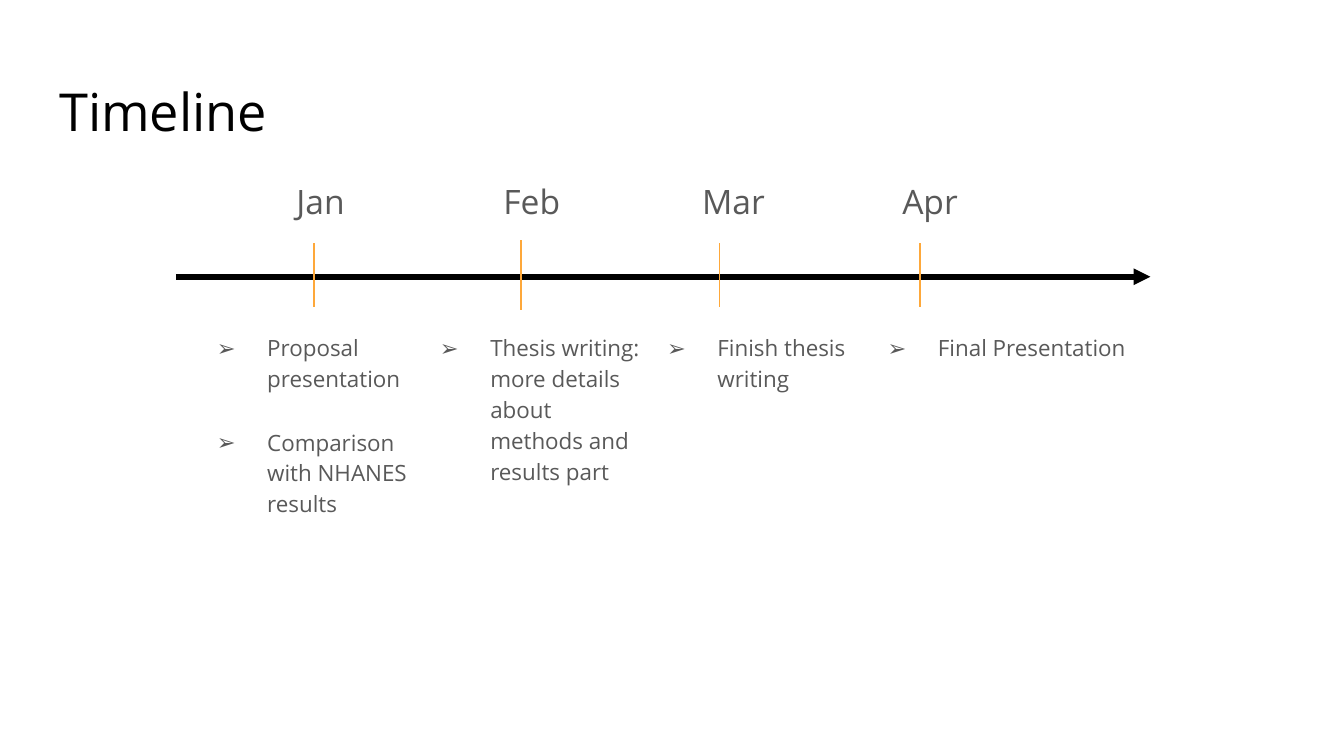
from dataclasses import dataclass

from lxml.etree import SubElement
from pptx import Presentation
from pptx.dml.color import RGBColor as Rgb
from pptx.enum.shapes import MSO_CONNECTOR as Connector
from pptx.enum.text import MSO_ANCHOR as Anchor, MSO_AUTO_SIZE as AutoSize, PP_ALIGN as Align
from pptx.oxml.ns import qn
from pptx.slide import Slide
from pptx.util import Pt


@dataclass(frozen=True)
class Theme:
    font: str = "Open Sans"
    ink: str = "000000"
    grey: str = "595959"
    orange: str = "FEA83A"
    title_size: float = 28
    month_size: float = 18
    task_size: float = 12
    line_spacing: float = 1.15


@dataclass(frozen=True)
class Box:
    left: float
    top: float
    width: float
    height: float


@dataclass(frozen=True)
class Month:
    name: str
    label: Box
    tick_half: float
    tasks_left: float
    tasks_width: float
    tasks: tuple[str, ...]


THEME = Theme()
INSET = 7.2
AXIS_LEFT, AXIS_RIGHT, AXIS_Y = 94.3, 616.3, 148.3
TICK_OFFSET, TICK_MIDDLE = 25.6, 147.4
LABEL_TOP = 86.4
TASKS_TOP, TASK_HEIGHT, TASK_STEP = 169.9, 45.4, 50.4

MONTHS = (
    Month("Jan", Box(142.6, LABEL_TOP, 51.1, 45.4), 17, 100.1, 134.6,
          ("Proposal presentation", "Comparison with NHANES results")),
    Month("Feb", Box(253.6, LABEL_TOP, 66.2, 49.7), 18.7, 219.6, 134.6,
          ("Thesis writing: more details about methods and results part",)),
    Month("Mar", Box(360, LABEL_TOP, 66.2, 45.4), 17, 341.3, 151.2,
          ("Finish thesis writing",)),
    Month("Apr", Box(467.3, LABEL_TOP, 61.9, 45.4), 17, 459.4, 151.2,
          ("Final Presentation",)),
)


def write(shape, text: str, box: Box, *, size: float, color: str = THEME.grey,
          spacing: float = THEME.line_spacing, margin: float = 0,
          indent: float = 0, bullet: str = "") -> None:
    """Place a text box or placeholder and fill it with one formatted paragraph."""
    shape.left, shape.top = Pt(box.left), Pt(box.top)
    shape.width, shape.height = Pt(box.width), Pt(box.height)
    frame = shape.text_frame
    frame.word_wrap = True
    frame.auto_size = AutoSize.NONE
    frame.vertical_anchor = Anchor.TOP
    frame.margin_left = frame.margin_right = Pt(INSET)
    frame.margin_top = frame.margin_bottom = Pt(INSET)

    paragraph = frame.paragraphs[0]
    properties = paragraph._p.get_or_add_pPr()
    properties.set("marL", str(Pt(margin)))
    properties.set("indent", str(Pt(indent)))
    if bullet:
        bullet_color = SubElement(properties, qn("a:buClr"))
        SubElement(bullet_color, qn("a:srgbClr"), val=color)
        SubElement(properties, qn("a:buFont"), typeface=THEME.font)
        SubElement(properties, qn("a:buChar"), char=bullet)
    else:
        SubElement(properties, qn("a:buNone"))
    paragraph.alignment = Align.LEFT
    paragraph.line_spacing = spacing
    paragraph.space_before = Pt(0)

    run = paragraph.add_run()
    run.text = text
    run.font.name = THEME.font
    run.font.size = Pt(size)
    run.font.color.rgb = Rgb.from_string(color)


def add_text_box(slide: Slide, box: Box):
    return slide.shapes.add_textbox(Pt(box.left), Pt(box.top), Pt(box.width), Pt(box.height))


def draw_line(slide: Slide, start: tuple[float, float], end: tuple[float, float], *,
              color: str, width: float, arrow: bool = False) -> None:
    line = slide.shapes.add_connector(
        Connector.STRAIGHT, *(Pt(value) for value in (*start, *end)))
    line.line.color.rgb = Rgb.from_string(color)
    line.line.width = Pt(width)
    if arrow:
        SubElement(line.line._get_or_add_ln(), qn("a:tailEnd"), type="triangle")
    SubElement(line._element.spPr, qn("a:effectLst"))


def draw_month(slide: Slide, month: Month, label) -> None:
    write(label, month.name, month.label, size=THEME.month_size, margin=9)
    tick_x = month.label.left + TICK_OFFSET
    draw_line(slide, (tick_x, TICK_MIDDLE - month.tick_half),
              (tick_x, TICK_MIDDLE + month.tick_half), color=THEME.orange, width=0.75)
    for row, task in enumerate(month.tasks):
        box = Box(month.tasks_left, TASKS_TOP + row * TASK_STEP,
                  month.tasks_width, TASK_HEIGHT)
        write(add_text_box(slide, box), task, box, size=THEME.task_size,
              margin=36, indent=-27, bullet="➢")


def main() -> None:
    deck = Presentation()
    deck.slide_width, deck.slide_height = Pt(720), Pt(405)
    slide = deck.slides.add_slide(deck.slide_layouts[1])

    write(slide.shapes.title, "Timeline", Box(24.5, 35.3, 671, 45.4),
          size=THEME.title_size, color=THEME.ink, spacing=1.0)
    draw_line(slide, (AXIS_LEFT, AXIS_Y), (AXIS_RIGHT, AXIS_Y),
              color=THEME.ink, width=3, arrow=True)
    first, *later = MONTHS
    draw_month(slide, first, slide.placeholders[1])
    for month in later:
        draw_month(slide, month, add_text_box(slide, month.label))

    deck.save("out.pptx")


if __name__ == "__main__":
    main()
